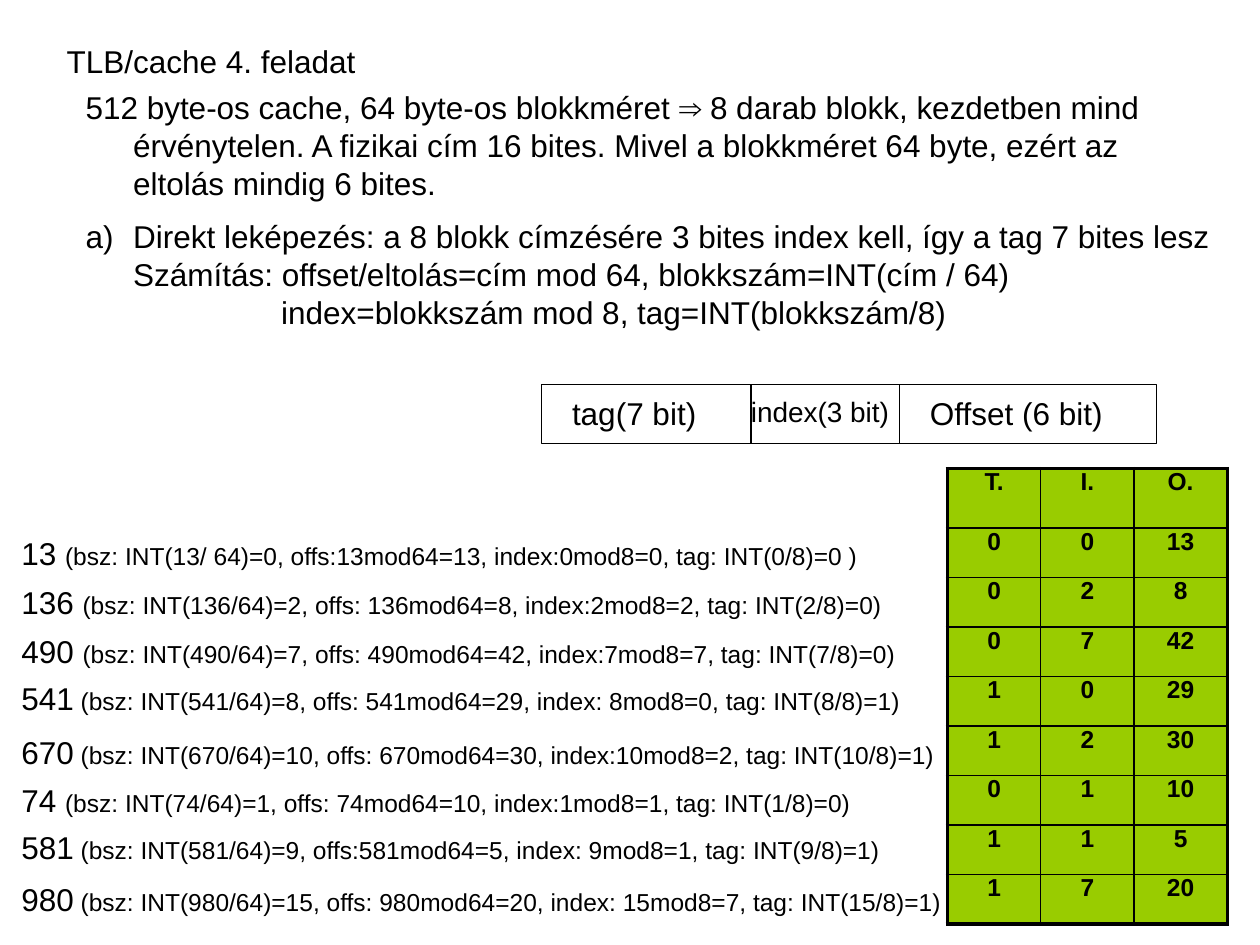
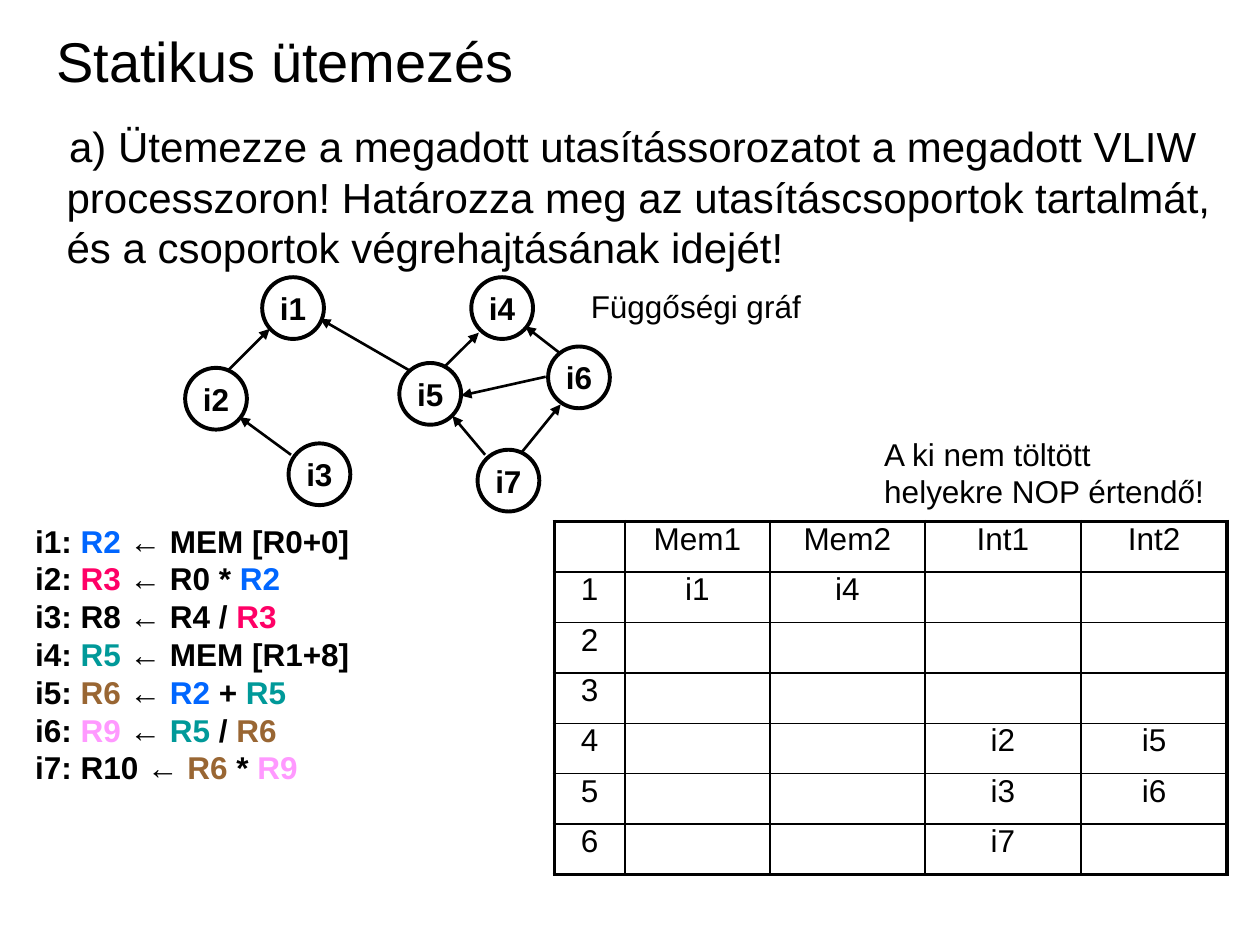
from lxml.etree import SubElement
from pptx import Presentation
from pptx.dml.color import RGBColor
from pptx.enum.shapes import MSO_CONNECTOR, MSO_SHAPE
from pptx.enum.text import MSO_ANCHOR, PP_ALIGN
from pptx.oxml.ns import qn
from pptx.util import Pt

COLORS = {
    "text": "000000", "line": "000000", "cell": "99CC00",
    "R2": "0066FF", "R3": "FF0066", "R5": "009999", "R6": "996633", "R9": "FF99FF",
}
FONT = "Arial"
PADDED = (7.2, 3.6)
TIGHT = (0, 0)
THICK, THIN = 2.25, 1

# Slide 1: top of each line, address, calculation
ADDRESS_LINES = [
    (305.3, "13 ", "(bsz: INT(13/ 64)=0, offs:13mod64=13, index:0mod8=0, tag: INT(0/8)=0 )"),
    (333.4, "136 ", "(bsz: INT(136/64)=2, offs: 136mod64=8, index:2mod8=2, tag: INT(2/8)=0)"),
    (361.4, "490 ", "(bsz: INT(490/64)=7, offs: 490mod64=42, index:7mod8=7, tag: INT(7/8)=0)"),
    (388.1, "541", " (bsz: INT(541/64)=8, offs: 541mod64=29, index: 8mod8=0, tag: INT(8/8)=1)"),
    (419, "670", " (bsz: INT(670/64)=10, offs: 670mod64=30, index:10mod8=2, tag: INT(10/8)=1)"),
    (446.4, "74 ", "(bsz: INT(74/64)=1, offs: 74mod64=10, index:1mod8=1, tag: INT(1/8)=0)"),
    (473, "581", " (bsz: INT(581/64)=9, offs:581mod64=5, index: 9mod8=1, tag: INT(9/8)=1)"),
    (502.6, "980", " (bsz: INT(980/64)=15, offs: 980mod64=20, index: 15mod8=7, tag: INT(15/8)=1)"),
]

# Slide 2: dependency graph, instructions and schedule
NODE_SIZE = 35.3
NODES = {
    "i1": (149.8, 158.4), "i2": (105.8, 210.2), "i3": (164.9, 253.4), "i4": (269.3, 158.4),
    "i5": (228.2, 207.4), "i6": (313.2, 198), "i7": (272.9, 257),
}
DEPENDENCIES = [
    (166.3, 259.9, 136.8, 238.3), (130.3, 211.7, 154.1, 187.9),
    (234, 211.7, 182.9, 182.2), (253.4, 210.2, 273.6, 190.1),
    (319.7, 201.6, 300.2, 186.5), (311.8, 215.3, 263.5, 226.1),
    (277.2, 259.9, 258.5, 237.6), (298.1, 258.5, 320.4, 231.1),
]
INSTRUCTIONS = [
    "i1: R2 ← MEM [R0+0]",
    "i2: R3 ← R0 * R2",
    "i3: R8 ← R4 / R3",
    "i4: R5 ← MEM [R1+8]",
    "i5: R6 ← R2 + R5",
    "i6: R9 ← R5 / R6",
    "i7: R10 ← R6 * R9",
]
SCHEDULE = [
    ["", "Mem1", "Mem2", "Int1", "Int2"],
    ["1", "i1", "i4", "", ""],
    ["2", "", "", "", ""],
    ["3", "", "", "", ""],
    ["4", "", "", "i2", "i5"],
    ["5", "", "", "i3", "i6"],
    ["6", "", "", "i7", ""],
]


def rgb(name):
    return RGBColor.from_string(COLORS[name])


def add_run(paragraph, text, size=18, color="text", bold=False):
    run = paragraph.add_run()
    run.text = text
    for name, value in {"name": FONT, "size": Pt(size), "bold": bold}.items():
        setattr(run.font, name, value)
    run.font.color.rgb = rgb(color)


def set_frame(frame, padding, anchor=MSO_ANCHOR.TOP):
    across, down = map(Pt, padding)
    values = {"word_wrap": True, "vertical_anchor": anchor, "margin_left": across,
              "margin_right": across, "margin_top": down, "margin_bottom": down}
    for name, value in values.items():
        setattr(frame, name, value)


def add_text(slide, box, paragraphs, padding=PADDED, anchor=MSO_ANCHOR.TOP):
    """Each paragraph is a list of (text, run format) pairs."""
    frame = slide.shapes.add_textbox(*map(Pt, box)).text_frame
    set_frame(frame, padding, anchor)
    for number, runs in enumerate(paragraphs):
        paragraph = frame.add_paragraph() if number else frame.paragraphs[0]
        for text, run_format in runs:
            add_run(paragraph, text, **run_format)
    return frame


def add_label(slide, box, text, size=18, **options):
    return add_text(slide, box, [[(text, {"size": size})]], **options)


def indent(paragraph, margin, first_line=0):
    properties = paragraph._p.get_or_add_pPr()
    properties.set("marL", str(Pt(margin)))
    properties.set("indent", str(Pt(first_line)))
    return properties


def add_outline(slide, kind, box, width):
    shape = slide.shapes.add_shape(kind, *map(Pt, box))
    shape.shadow.inherit = False
    shape.fill.background()
    shape.line.color.rgb = rgb("line")
    shape.line.width = Pt(width)
    return shape


def add_line(slide, ends, width, arrow=False):
    connector = slide.shapes.add_connector(MSO_CONNECTOR.STRAIGHT, *map(Pt, ends))
    connector.line.color.rgb = rgb("line")
    connector.line.width = Pt(width)
    if arrow:
        SubElement(connector.line._get_or_add_ln(), qn("a:tailEnd"), type="triangle")
    SubElement(connector._element.spPr, qn("a:effectLst"))


def add_node(slide, name, corner):
    circle = add_outline(slide, MSO_SHAPE.OVAL, (*corner, NODE_SIZE, NODE_SIZE), THICK)
    set_frame(circle.text_frame, TIGHT, MSO_ANCHOR.MIDDLE)
    paragraph = circle.text_frame.paragraphs[0]
    paragraph.alignment = PP_ALIGN.CENTER
    add_run(paragraph, name, bold=True)


def add_border(cell, side, width):
    line = SubElement(cell._tc.get_or_add_tcPr(), qn(f"a:ln{side}"), w=str(Pt(width)))
    fill = SubElement(line, qn("a:solidFill"))
    SubElement(fill, qn("a:srgbClr"), val=COLORS["line"])


def add_grid(slide, corner, widths, heights, rows, fill=None, **run_format):
    """Table with a thick frame and thin inner lines."""
    size = (sum(widths), sum(heights))
    table = slide.shapes.add_table(len(rows), len(widths), *map(Pt, corner + size)).table
    table.first_row = table.horz_banding = False
    for column, width in zip(table.columns, widths):
        column.width = Pt(width)
    for row, height in zip(table.rows, heights):
        row.height = Pt(height)
    last_row, last_column = len(rows) - 1, len(widths) - 1
    for r, values in enumerate(rows):
        for c, value in enumerate(values):
            cell = table.cell(r, c)
            for side in ("left", "right", "top", "bottom"):
                setattr(cell, f"margin_{side}", 0)
            edges = {"L": c == 0, "R": c == last_column, "T": r == 0, "B": r == last_row}
            for side, outer in edges.items():
                add_border(cell, side, THICK if outer else THIN)
            if fill:
                cell.fill.solid()
                cell.fill.fore_color.rgb = rgb(fill)
            else:
                cell.fill.background()
            if value:
                paragraph = cell.text_frame.paragraphs[0]
                paragraph.alignment = PP_ALIGN.CENTER
                add_run(paragraph, value, **run_format)


def build_cache_slide(slide):
    add_label(slide, (31, 20.2, 209.5, 28.8), "TLB/cache 4. feladat")

    # Task and method
    lines = [
        "512 byte-os cache, 64 byte-os blokkméret ⇒ 8 darab blokk, kezdetben mind "
        "érvénytelen. A fizikai cím 16 bites. Mivel a blokkméret 64 byte, ezért az "
        "eltolás mindig 6 bites.",
        "Direkt leképezés: a 8 blokk címzésére 3 bites index kell, így a tag 7 bites lesz",
        "Számítás: offset/eltolás=cím mod 64, blokkszám=INT(cím / 64)",
        "index=blokkszám mod 8, tag=INT(blokkszám/8)",
    ]
    frame = add_text(slide, (41.8, 46.8, 657.4, 147.6), [[(line, {})] for line in lines])
    task, mapping, calculation, result = frame.paragraphs
    indent(task, 27.2, -27.2)
    mapping.space_before = Pt(9)
    SubElement(indent(mapping, 27.2, -27.2), qn("a:buAutoNum"), type="alphaLcParenR")
    indent(calculation, 27.2)
    indent(result, 111.8)

    # Address layout
    left, top, height = 309.6, 219.6, 33.8
    add_outline(slide, MSO_SHAPE.RECTANGLE, (left, top, 351.4, height), 0.75)
    for x in (429.1, 514.1):
        add_line(slide, (x, top, x, top + height), 0.75)
    for x, width, text, size in [(531.4, 102.2, "Offset (6 bit)", 18),
                                 (326.9, 79.2, "tag(7 bit)", 18),
                                 (429.1, 90.7, "index(3 bit)", 16)]:
        add_label(slide, (x, 225.4, width, 21.6), text, size, padding=TIGHT)

    # Tag, index and offset of each address
    rows = [["T.", "I.", "O."]]
    for y, address, calculation in ADDRESS_LINES:
        block, offset = divmod(int(address), 64)
        rows.append([str(value) for value in (*divmod(block, 8), offset)])
        add_text(slide, (12.2, y, 529, 21.6),
                 [[(address, {}), (calculation, {"size": 14})]], padding=TIGHT)
    add_grid(slide, (541.4, 267.8), [53.3] * 3, [33.8] + [28.3] * 8, rows,
             fill="cell", size=14, bold=True)


def build_schedule_slide(slide):
    add_label(slide, (25.2, 15.1, 414, 38.9), "Statikus ütemezés", 32,
              anchor=MSO_ANCHOR.MIDDLE)
    task = add_label(
        slide, (31, 65.5, 674.6, 442.8),
        "a) Ütemezze a megadott utasítássorozatot a megadott VLIW processzoron! "
        "Határozza meg az utasításcsoportok tartalmát, és a csoportok "
        "végrehajtásának idejét!", 24)
    indent(task.paragraphs[0], 0, 1.4)

    # Dependency graph
    for name, corner in NODES.items():
        add_node(slide, name, corner)
    for ends in DEPENDENCIES:
        add_line(slide, ends, 1.5, arrow=True)
    add_label(slide, (330.5, 160.6, 193, 28.8), "Függőségi gráf")

    # Schedule
    add_grid(slide, (316.8, 298.1), [40.3, 82.8, 88.6, 89.3, 83.5], [28.8] * 7, SCHEDULE)
    add_label(slide, (498.2, 244.8, 203, 50.4), "A ki nem töltött helyekre NOP értendő!")

    # Instructions, with each shared register in its own colour
    paragraphs = []
    for instruction in INSTRUCTIONS:
        first, *others = instruction.split(" ")
        words = [first] + [f" {word}" for word in others]
        paragraphs.append([
            (word, {"bold": True, "color": word.strip() if word.strip() in COLORS else "text"})
            for word in words])
    add_text(slide, (13, 294.5, 235.4, 158.4), paragraphs)


def main():
    presentation = Presentation()
    presentation.slide_width, presentation.slide_height = Pt(720), Pt(540)
    blank = presentation.slide_layouts[6]
    for build in (build_cache_slide, build_schedule_slide):
        build(presentation.slides.add_slide(blank))
    presentation.save("out.pptx")


if __name__ == "__main__":
    main()
